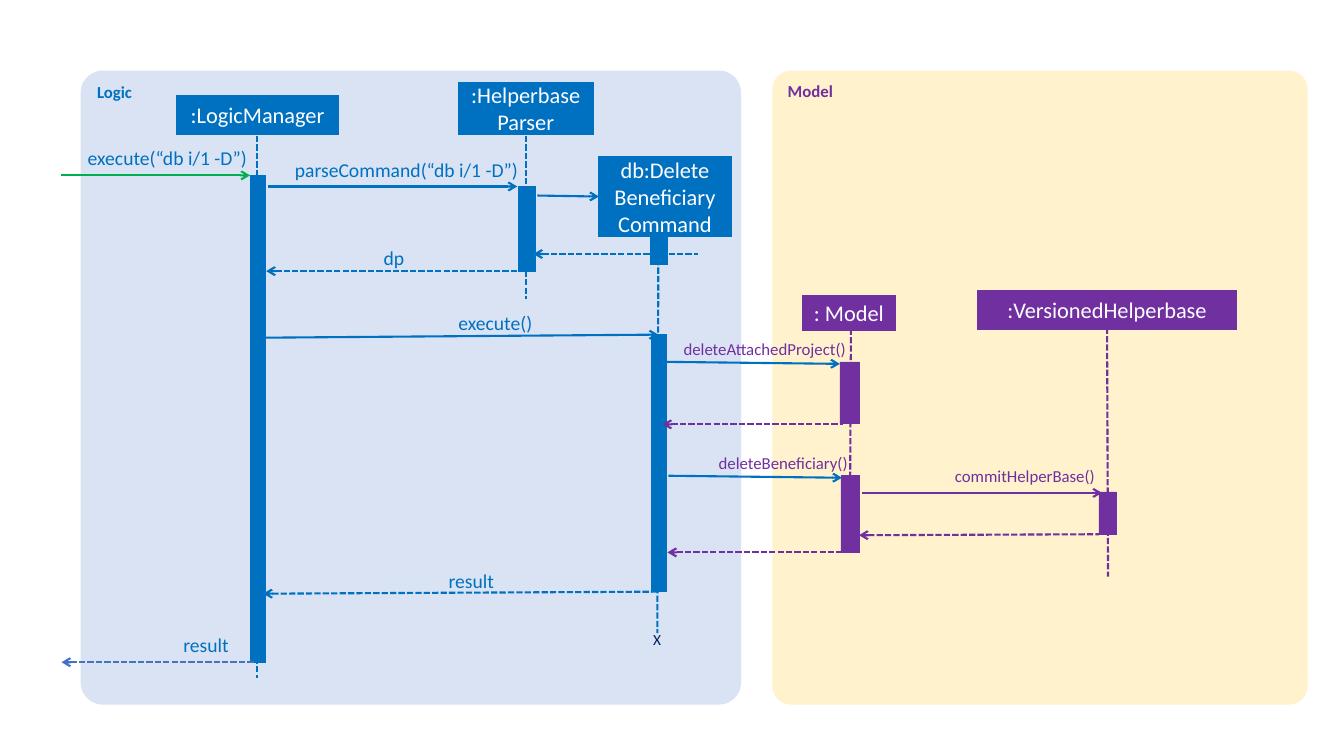
from lxml import etree
from pptx import Presentation
from pptx import util as u
from pptx.dml.color import RGBColor
from pptx.enum import dml, shapes, text
from pptx.oxml.ns import qn

BLUE = RGBColor(0x00, 0x70, 0xC0)
PURPLE = RGBColor(0x70, 0x30, 0xA0)
GREEN = RGBColor(0x00, 0xB0, 0x50)
SLATE = RGBColor(0x44, 0x72, 0xC4)
NAVY = RGBColor(0x00, 0x20, 0x60)
WHITE = RGBColor(0xFF, 0xFF, 0xFF)
CREAM = RGBColor(0xFF, 0xF2, 0xCC)
PALE_BLUE = RGBColor(0xDA, 0xE3, 0xF3)
FONT = "Calibri"
CM_PER_INCH = 2.54

PANELS = [
    ("Model", (7.66, 0.7, 5.31, 6.29), CREAM, PURPLE),
    ("Logic", (0.8, 0.7, 6.55, 6.29), PALE_BLUE, BLUE),
]

PARTICIPANTS = [
    {"name": ":LogicManager", "color": BLUE, "header": (1.76, 0.95, 1.59, 0.38),
     "lifeline": (2.55, 1.35, 2.55, 6.73), "bars": [(2.48, 1.74, 0.15, 4.83)]},
    {"name": ":Helperbase\nParser", "color": BLUE, "header": (4.55, 0.82, 1.33, 0.51),
     "lifeline": (5.22, 1.35, 5.22, 2.97), "bars": [(5.14, 1.85, 0.17, 0.84)]},
    {"name": "db:Delete\nBeneficiary\vCommand", "color": BLUE, "header": (5.94, 1.56, 1.31, 0.78),
     "lifeline": (6.53, 2.32, 6.52, 6.28),
     "bars": [(6.45, 2.32, 0.17, 0.3), (6.46, 3.32, 0.15, 2.55)]},
    {"name": ": Model", "color": PURPLE, "header": (7.96, 2.94, 0.92, 0.33),
     "lifeline": (8.44, 3.26, 8.43, 5.16),
     "bars": [(8.33, 3.59, 0.19, 0.61), (8.34, 4.72, 0.18, 0.76)]},
    {"name": ":VersionedHelperbase", "color": PURPLE, "header": (9.7, 2.89, 2.56, 0.37),
     "lifeline": (10.98, 3.25, 10.99, 5.72), "bars": [(10.9, 4.88, 0.17, 0.42)]},
]

CALLS = [
    ((0.61, 1.74, 2.48, 1.74), GREEN),
    ((2.66, 1.85, 5.13, 1.85), BLUE),
    ((5.33, 1.94, 5.94, 1.95), BLUE),
    ((2.64, 3.35, 6.53, 3.32), BLUE),
    ((6.61, 3.59, 8.33, 3.61), BLUE),
    ((6.63, 4.72, 8.35, 4.74), BLUE),
    ((8.55, 4.89, 10.93, 4.89), PURPLE),
]

RETURNS = [
    ((5.29, 2.52, 6.92, 2.52), BLUE),
    ((2.64, 2.69, 5.21, 2.69), BLUE),
    ((6.57, 4.21, 8.36, 4.21), PURPLE),
    ((8.52, 5.31, 10.9, 5.3), PURPLE),
    ((6.62, 5.48, 8.41, 5.48), PURPLE),
    ((2.61, 5.89, 6.53, 5.87), BLUE),
    ((0.61, 6.57, 2.52, 6.57), SLATE),
]

LABELS = [
    ("execute(“db i/1 -D”)", (0.72, 1.45, 1.73, 0.24), 14, BLUE),
    ("parseCommand(“db i/1 -D”)", (2.58, 1.57, 2.56, 0.24), 14, BLUE),
    ("dp", (3.77, 2.44, 0.24, 0.24), 14, BLUE),
    ("execute()", (4.34, 3.08, 0.94, 0.24), 14, BLUE),
    ("result", (4.22, 5.64, 0.68, 0.24), 14, BLUE),
    ("result", (1.44, 6.28, 0.83, 0.24), 14, BLUE),
    ("deleteAttachedProject()", (6.74, 3.36, 1.65, 0.2), 12, PURPLE),
    ("deleteBeneficiary()", (6.76, 4.49, 1.65, 0.2), 12, PURPLE),
    ("commitHelperBase()", (8.54, 4.62, 2.32, 0.2), 12, PURPLE),
]
END_MARK = ("X", (6.38, 6.2, 0.28, 0.29))


def lengths(values):
    return [u.Cm(value * CM_PER_INCH) for value in values]


def write(shape, content, *, size, color, bold=False, align=text.PP_ALIGN.LEFT,
          anchor=text.MSO_ANCHOR.TOP, wrap=True, inset=True):
    frame = shape.text_frame
    frame.text = content
    frame.word_wrap = wrap
    frame.vertical_anchor = anchor
    if not inset:
        frame.margin_left = frame.margin_top = frame.margin_right = frame.margin_bottom = 0
    for paragraph in frame.paragraphs:
        paragraph.alignment = align
        for run in paragraph.runs:
            run.font.name = FONT
            run.font.size = u.Pt(size)
            run.font.bold = bold
            run.font.color.rgb = color


def add_box(slide, box, fill, kind=shapes.MSO_SHAPE.RECTANGLE, line_width=None):
    shape = slide.shapes.add_shape(kind, *lengths(box))
    shape.shadow.inherit = False
    shape.fill.solid()
    shape.fill.fore_color.rgb = fill
    if line_width is None:
        shape.line.fill.background()
    else:
        shape.line.color.rgb = fill
        shape.line.width = u.Pt(line_width)
        outline = shape._element.spPr.find(qn("a:ln"))
        etree.SubElement(outline, qn("a:miter"), lim="800000")
    return shape


def add_line(slide, ends, color, dashed=False, arrow=None):
    connector = slide.shapes.add_connector(shapes.MSO_CONNECTOR.STRAIGHT, *lengths(ends))
    connector.line.color.rgb = color
    connector.line.width = u.Pt(1.5)
    if dashed:
        connector.line.dash_style = dml.MSO_LINE.SQUARE_DOT
    properties = connector._element.spPr
    if arrow:
        etree.SubElement(properties.find(qn("a:ln")), qn(arrow), type="arrow")
    etree.SubElement(properties, qn("a:effectLst"))


def main():
    presentation = Presentation()
    presentation.slide_width, presentation.slide_height = lengths((13.33, 7.5))
    slide = presentation.slides.add_slide(presentation.slide_layouts[6])

    for title, box, fill, color in PANELS:
        panel = add_box(slide, box, fill, shapes.MSO_SHAPE.ROUNDED_RECTANGLE)
        panel.adjustments[0] = 0.035
        write(panel, title, size=12, color=color, bold=True)

    for participant in PARTICIPANTS:
        color = participant["color"]
        add_line(slide, participant["lifeline"], color, dashed=True)
        for bar in participant["bars"]:
            add_box(slide, bar, color, line_width=0.5)
        header = add_box(slide, participant["header"], color, line_width=1.5)
        write(header, participant["name"], size=16, color=WHITE,
              align=text.PP_ALIGN.CENTER, anchor=text.MSO_ANCHOR.MIDDLE)

    for ends, color in CALLS:
        add_line(slide, ends, color, arrow="a:tailEnd")
    for ends, color in RETURNS:
        add_line(slide, ends, color, dashed=True, arrow="a:headEnd")

    for content, box, size, color in LABELS:
        label = slide.shapes.add_textbox(*lengths(box))
        write(label, content, size=size, color=color, align=text.PP_ALIGN.RIGHT, inset=False)

    content, box = END_MARK
    write(slide.shapes.add_textbox(*lengths(box)), content, size=11, color=NAVY, wrap=False)

    presentation.save("out.pptx")


if __name__ == "__main__":
    main()
